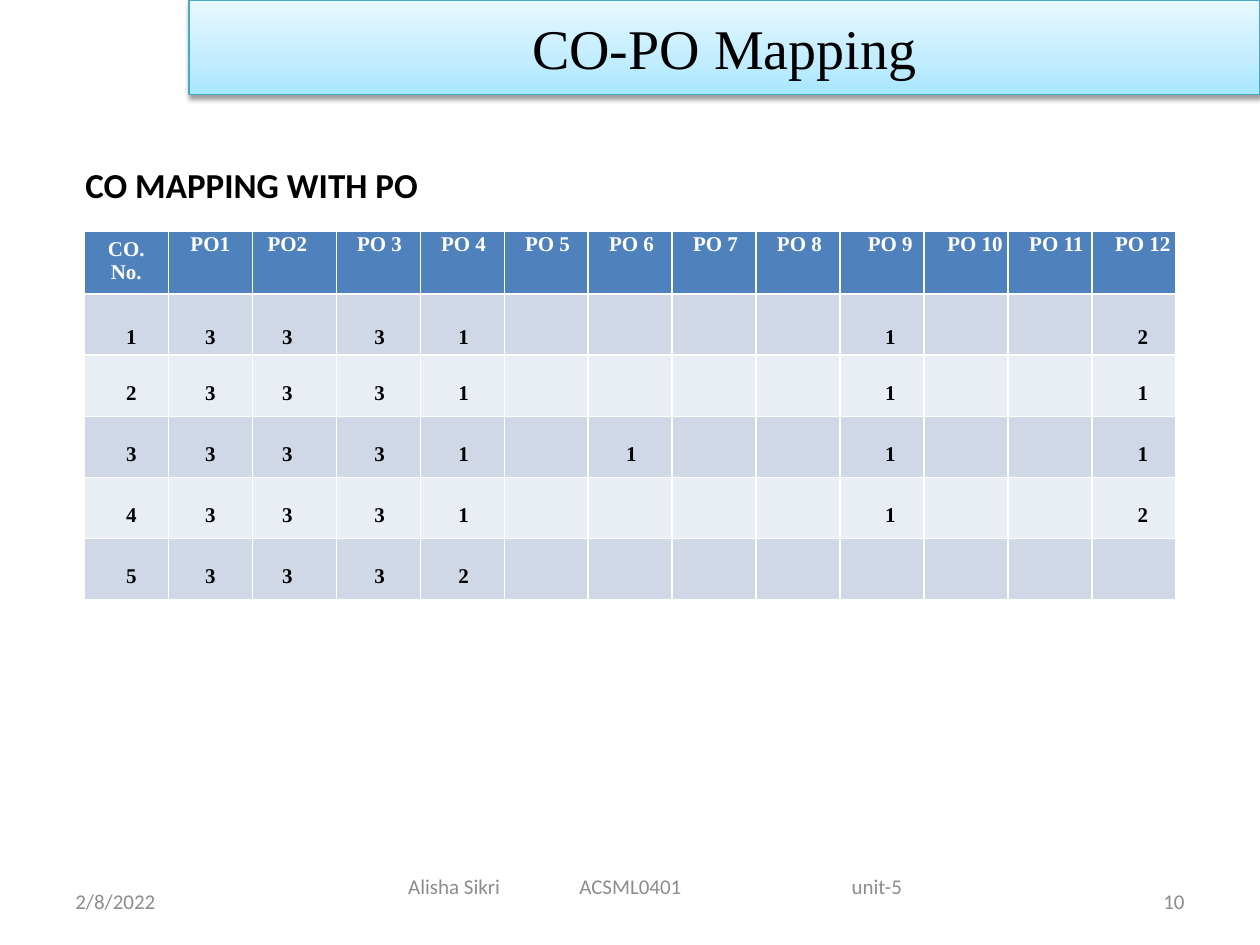
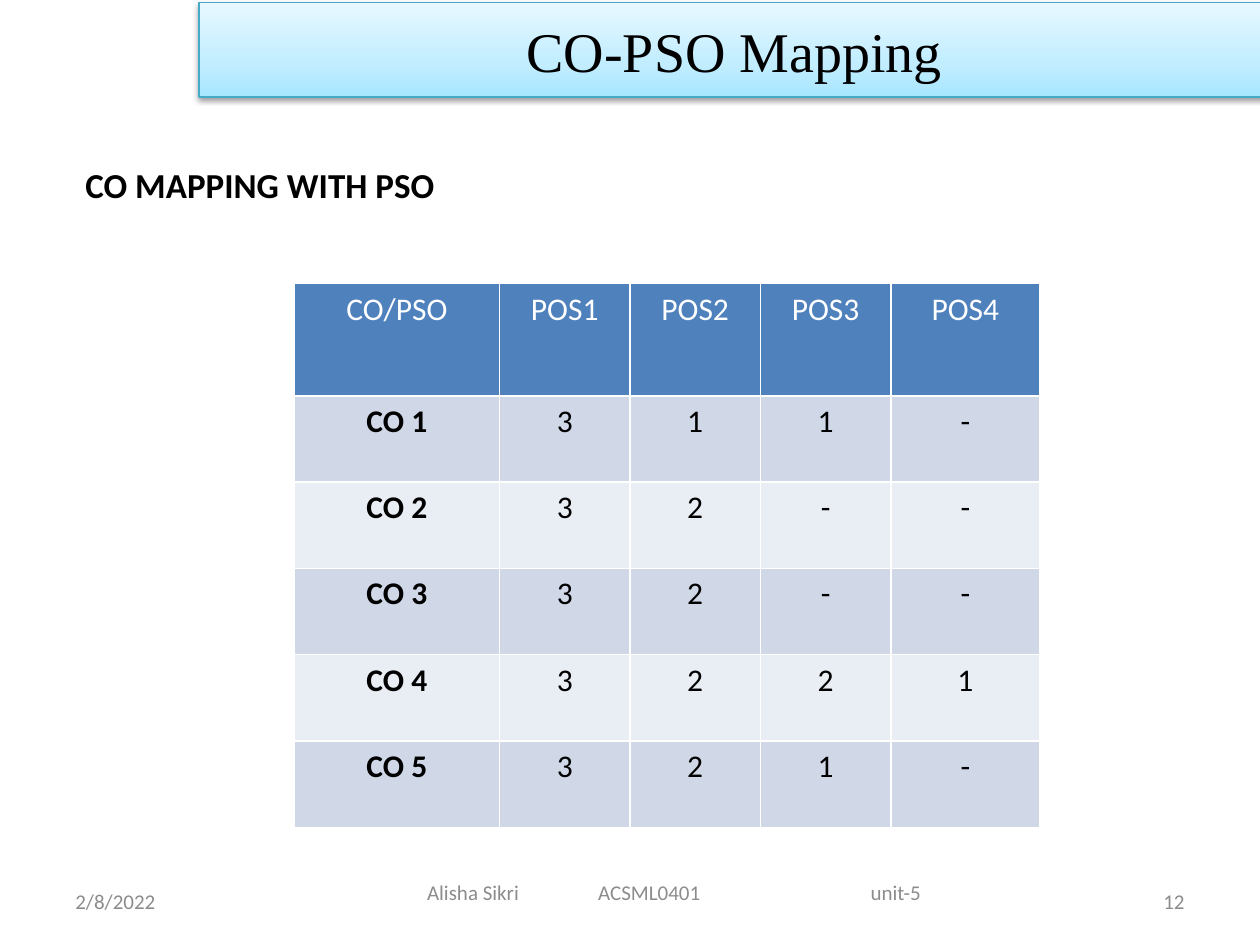
"""Build two slides that map course outcomes to PO and PSO."""
import pptx
import pptx.dml.color
import pptx.enum.shapes
import pptx.enum.text
import pptx.oxml.ns
import pptx.util
from lxml import etree

Cm = pptx.util.Cm
Pt = pptx.util.Pt
RGBColor = pptx.dml.color.RGBColor
ALIGN = pptx.enum.text.PP_ALIGN
ANCHOR = pptx.enum.text.MSO_ANCHOR
qn = pptx.oxml.ns.qn

BLACK = RGBColor(0x00, 0x00, 0x00)
WHITE = RGBColor(0xFF, 0xFF, 0xFF)
FOOTER_GREY = RGBColor(0x8C, 0x8C, 0x8C)
BAND_LINE = RGBColor(0x46, 0xAA, 0xC5)
BAND_DARK = RGBColor(0xA7, 0xE6, 0xFF)
BAND_MID = RGBColor(0xC1, 0xED, 0xFF)
BAND_LIGHT = RGBColor(0xE7, 0xF8, 0xFF)
HEADER_BLUE = RGBColor(0x4F, 0x81, 0xBD)
ROW_FILLS = (RGBColor(0xD0, 0xD8, 0xE8), RGBColor(0xE9, 0xED, 0xF4))

SANS = "Calibri"
SERIF = "Times New Roman"
DATE = "2/8/2022"
FOOTER = "Alisha Sikri\tACSML0401\tunit-5"
FOOTER_TABS = (3.45, 8.94)
FOOTER_TEXT_WIDTH = 10

PO_ROWS = [
    ["CO. No.", "PO1", "PO2"] + [f"PO {number}" for number in range(3, 13)],
    ["1", "3", "3", "3", "1", "", "", "", "", "1", "", "", "2"],
    ["2", "3", "3", "3", "1", "", "", "", "", "1", "", "", "1"],
    ["3", "3", "3", "3", "1", "", "1", "", "", "1", "", "", "1"],
    ["4", "3", "3", "3", "1", "", "", "", "", "1", "", "", "2"],
    ["5", "3", "3", "3", "2", "", "", "", "", "", "", "", ""],
]
PO_INDENTS = [0.2, 0, -0.28] + [0.05] * 6 + [0.33, 0.36, 0.25, 0.35]
PSO_ROWS = [
    ["CO/PSO", "POS1", "POS2", "POS3", "POS4"],
    ["CO 1", "3", "1", "1", "-"],
    ["CO 2", "3", "2", "-", "-"],
    ["CO 3", "3", "2", "-", "-"],
    ["CO 4", "3", "2", "2", "1"],
    ["CO 5", "3", "2", "1", "-"],
]


def write(frame, text, size, color, font=SANS, bold=False, align=ALIGN.LEFT):
    """Fill a text frame with one formatted paragraph."""
    frame.text = text
    para = frame.paragraphs[0]
    para.alignment = align
    for style in [para.font] + [span.font for span in para.runs]:
        style.size = Pt(size)
        style.name = font
        style.bold = bold
        style.color.rgb = color


def add_text(page, place, text, size, color, anchor=ANCHOR.MIDDLE, **style):
    """Add a wrapping text box and return its frame."""
    box = page.shapes.add_textbox(*map(Cm, place))
    box.text_frame.word_wrap = True
    box.text_frame.vertical_anchor = anchor
    write(box.text_frame, text, size, color, **style)
    return box.text_frame


def add_color(parent, color):
    """Append an RGB colour element and return it."""
    return etree.SubElement(parent, qn("a:srgbClr"), val=str(color))


def add_title_band(page, left, top, title):
    """Add the shaded gradient band that carries the slide title."""
    band = page.shapes.add_shape(
        pptx.enum.shapes.MSO_SHAPE.RECTANGLE, Cm(left), Cm(top), Cm(21.59), Cm(1.91))
    band.fill.gradient()
    band.fill.gradient_angle = 90
    stops = band.element.spPr.find(".//" + qn("a:gsLst"))
    for stop in list(stops):
        stops.remove(stop)
    for percent, color in ((0, BAND_DARK), (35, BAND_MID), (100, BAND_LIGHT)):
        add_color(etree.SubElement(stops, qn("a:gs"), pos=str(percent * 1000)), color)
    band.line.color.rgb = BAND_LINE
    band.line.width = Pt(0.75)
    band.shadow.inherit = False
    shadow = etree.SubElement(
        band.element.spPr.find(qn("a:effectLst")), qn("a:outerShdw"),
        blurRad=str(Pt(3.1)), dist=str(Pt(1.6)), dir="5400000", rotWithShape="0")
    etree.SubElement(add_color(shadow, BLACK), qn("a:alpha"), val="38000")
    band.text_frame.vertical_anchor = ANCHOR.MIDDLE
    write(band.text_frame, title, 32, BLACK, font=SERIF, align=ALIGN.CENTER)


def add_footer(page, number, top, width, height):
    """Add the date, the course line with tab stops, and the page number."""
    add_text(page, (1.27, 17.65, 5.92, 1.02), DATE, 12, FOOTER_GREY)
    add_text(page, (18.21, 17.65, 5.92, 1.02), str(number), 12, FOOTER_GREY,
             align=ALIGN.RIGHT)
    frame = add_text(page, (5.51, top, width, height), FOOTER, 12, FOOTER_GREY)
    frame.margin_left = Cm((width - FOOTER_TEXT_WIDTH) / 2)
    properties = frame.paragraphs[0]._p.get_or_add_pPr()
    tabs = etree.SubElement(properties, qn("a:tabLst"))
    for position in FOOTER_TABS:
        etree.SubElement(tabs, qn("a:tab"), pos=str(Cm(position)), algn="l")


def add_grid(page, left, top, widths, heights, rows, size, font, bold):
    """Add a banded table; bold tells from row and column which cells are bold."""
    frame = page.shapes.add_table(
        len(rows), len(widths), Cm(left), Cm(top), Cm(sum(widths)), Cm(sum(heights)))
    table = frame.table
    for column, width in zip(table.columns, widths):
        column.width = Cm(width)
    for row, height in zip(table.rows, heights):
        row.height = Cm(height)
    for r, values in enumerate(rows):
        for c, value in enumerate(values):
            cell = table.cell(r, c)
            cell.fill.solid()
            cell.fill.fore_color.rgb = ROW_FILLS[(r - 1) % 2] if r else HEADER_BLUE
            write(cell.text_frame, value, size, BLACK if r else WHITE,
                  font=font, bold=bold(r, c), align=ALIGN.CENTER)
    return table


def indent_cells(table, indents):
    """Shift the cells of each column sideways and lower the body values."""
    for r in range(len(table.rows)):
        for c, indent in enumerate(indents):
            cell = table.cell(r, c)
            if (r, c) == (0, 0):
                continue
            cell.margin_left = Cm(max(indent, 0))
            cell.margin_right = Cm(max(-indent, 0))
            cell.margin_bottom = Cm(0)
            cell.margin_top = Cm(0.04 if r == 0 else 0.52 if r == 1 else 0.32)
            if r:
                cell.vertical_anchor = ANCHOR.MIDDLE


def add_page(deck, heading, title, band_left, band_top):
    """Add a blank slide with its heading and title band."""
    page = deck.slides.add_slide(deck.slide_layouts[6])
    add_text(page, (1.47, 3.18, 22.86, 13.13), heading, 20, BLACK,
             anchor=ANCHOR.TOP, bold=True)
    add_title_band(page, band_left, band_top, title)
    return page


def main():
    """Build and save the deck."""
    deck = pptx.Presentation()
    deck.slide_width, deck.slide_height = Cm(25.4), Cm(19.05)

    page = add_page(deck, "CO MAPPING WITH PO", "CO-PO Mapping", 3.81, 0)
    add_footer(page, 10, 17.35, 15.44, 1.02)
    table = add_grid(page, 1.7, 4.66, [22.02 / 13] * 13, [1.23] * 6, PO_ROWS,
                     12, SERIF, lambda r, c: True)
    indent_cells(table, PO_INDENTS)

    page = add_page(deck, "CO MAPPING WITH PSO", "CO-PSO Mapping", 4.01, 0.05)
    add_footer(page, 12, 17.58, 16.2, 0.81)
    add_grid(page, 5.93, 5.72, [4.14, 2.63, 2.63, 2.63, 3], [2.26] + [1.74] * 5,
             PSO_ROWS, 18, SANS, lambda r, c: r > 0 and c == 0)

    deck.save("out.pptx")


if __name__ == "__main__":
    main()
